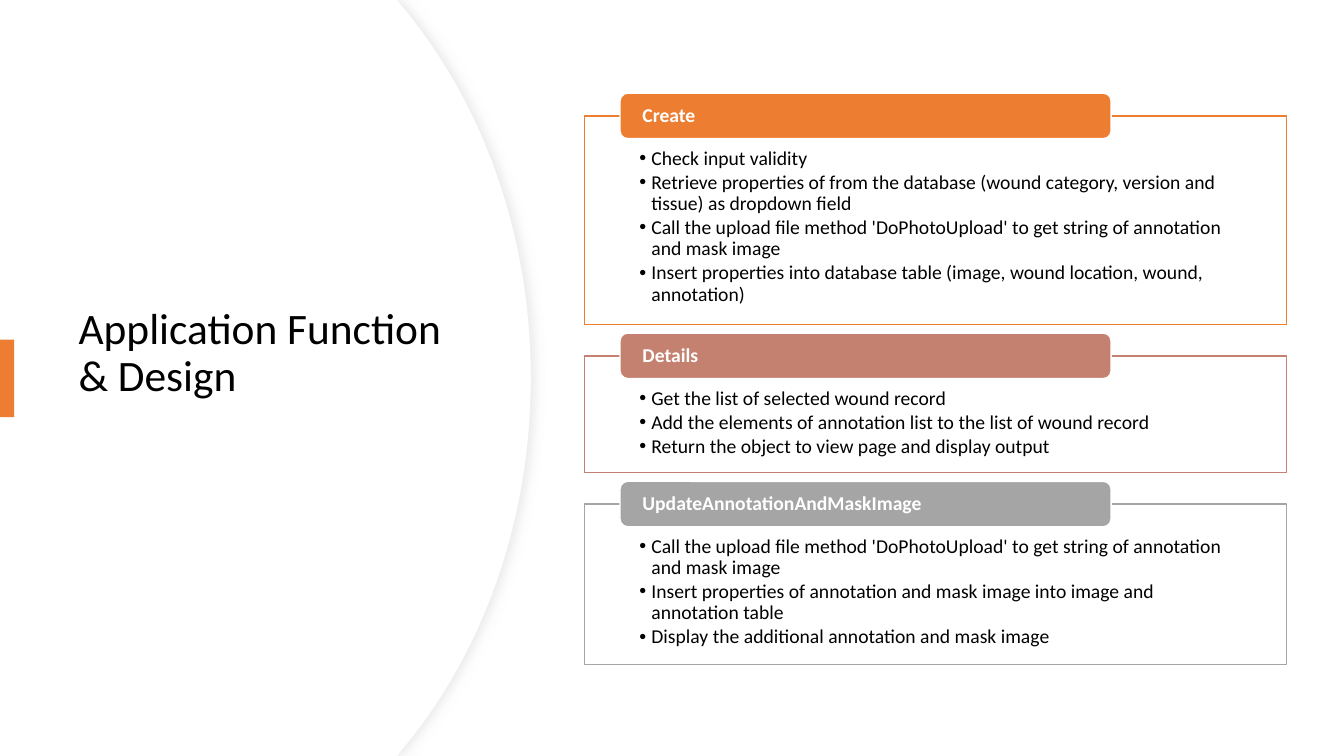
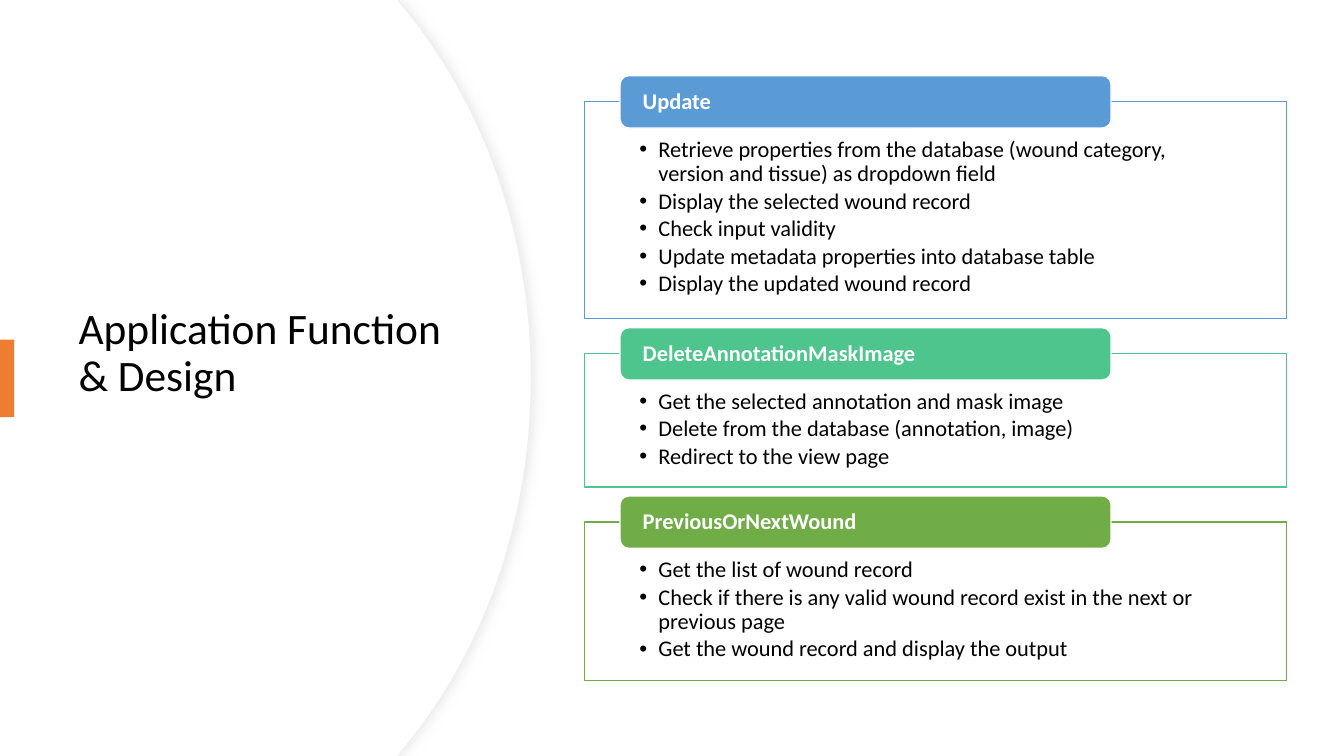
import dataclasses

import lxml.etree
import pptx
import pptx.dml.color
import pptx.enum.shapes
import pptx.enum.text
import pptx.oxml
import pptx.oxml.ns
import pptx.util

Inches = pptx.util.Inches
Pt = pptx.util.Pt
Shape = pptx.enum.shapes.MSO_SHAPE
Anchor = pptx.enum.text.MSO_ANCHOR
Align = pptx.enum.text.PP_ALIGN


@dataclasses.dataclass(frozen=True)
class Theme:
    font: str = "Calibri"
    title_size: int = 31
    text: str = "000000"
    paper: str = "FFFFFF"
    accent: str = "ED7D31"
    arc_line: str = "EFEFEF"
    arc_shadow: str = "D9D9D9"
    line_spacing: float = 0.9
    after_ratio: float = 0.15  # bullet spacing as a share of type size


@dataclasses.dataclass(frozen=True)
class Scale:
    """Sizes of one stack of panels: points for type, inches for the rest."""
    type_size: int
    tab_height: float
    gap: float
    top_inset: float
    indent: float


COMPACT = Scale(14, 0.45, 0.31, 0.32, 0.12)
ROOMY = Scale(16, 0.52, 0.35, 0.36, 0.19)

TITLE = "Application Function & Design"

# Each slide: scale, top of first panel, panels (name, colour, height, bullets)
SLIDES = [
    (COMPACT, 1.15, [
        ("Create", "ED7D31", 2.07, [
            "Check input validity",
            "Retrieve properties of from the database (wound category, version and tissue) as dropdown field",
            "Call the upload file method 'DoPhotoUpload' to get string of annotation and mask image",
            "Insert properties into database table (image, wound location, wound, annotation)",
        ]),
        ("Details", "C48170", 1.16, [
            "Get the list of selected wound record",
            "Add the elements of annotation list to the list of wound record",
            "Return the object to view page and display output",
        ]),
        ("UpdateAnnotationAndMaskImage", "A5A5A5", 1.59, [
            "Call the upload file method 'DoPhotoUpload' to get string of annotation and mask image",
            "Insert properties of annotation and mask image into image and annotation table",
            "Display the additional annotation and mask image",
        ]),
    ]),
    (ROOMY, 1.01, [
        ("Update", "5B9BD5", 2.15, [
            "Retrieve properties from the database (wound category, version and tissue) as dropdown field",
            "Display the selected wound record",
            "Check input validity",
            "Update metadata properties into database table",
            "Display the updated wound record",
        ]),
        ("DeleteAnnotationMaskImage", "4DC58D", 1.32, [
            "Get the selected annotation and mask image",
            "Delete from the database (annotation, image)",
            "Redirect to the view page",
        ]),
        ("PreviousOrNextWound", "70AD47", 1.57, [
            "Get the list of wound record",
            "Check if there is any valid wound record exist in the next or previous page",
            "Get the wound record and display the output",
        ]),
    ]),
]


class Builder:
    PANEL_LEFT, PANEL_WIDTH = 5.8, 6.96
    TAB_LEFT, TAB_WIDTH = 6.15, 4.87

    def __init__(self, theme):
        self.theme = theme
        self.deck = pptx.Presentation()
        self.deck.slide_width = Inches(13.33)
        self.deck.slide_height = Inches(7.5)
        self.page = None

    # Shared helpers
    def paint(self, shape, fill, line=None, width=1):
        shape.fill.solid()
        shape.fill.fore_color.rgb = pptx.dml.color.RGBColor.from_string(fill)
        if line:
            shape.line.color.rgb = pptx.dml.color.RGBColor.from_string(line)
            shape.line.width = Pt(width)
        else:
            shape.line.fill.background()

    def place(self, shape, left, top, width, height):
        shape.left, shape.top = Inches(left), Inches(top)
        shape.width, shape.height = Inches(width), Inches(height)

    def frame(self, shape, anchor, left, top, right, bottom):
        box = shape.text_frame
        box.word_wrap = True
        box.auto_size = pptx.enum.text.MSO_AUTO_SIZE.NONE
        box.vertical_anchor = anchor
        box.margin_left, box.margin_right = Inches(left), Inches(right)
        box.margin_top, box.margin_bottom = Inches(top), Inches(bottom)
        return box

    def style(self, para, size, color, bold=False, after=0):
        para.alignment = Align.LEFT
        para.line_spacing = self.theme.line_spacing
        para.space_before, para.space_after = Pt(0), Pt(after)
        para.font.name = self.theme.font
        para.font.size = Pt(size)
        para.font.bold = bold
        para.font.color.rgb = pptx.dml.color.RGBColor.from_string(color)

    def bullet(self, para, indent):
        props = para._p.get_or_add_pPr()
        props.set("marL", str(Inches(indent)))
        props.set("indent", str(-Inches(indent)))
        for tag, key, value in (("a:buFont", "typeface", "Arial"), ("a:buChar", "char", "•")):
            mark = lxml.etree.SubElement(props, pptx.oxml.ns.qn(tag))
            mark.set(key, value)

    # Slide elements
    def arc(self, reach, level):
        """White field whose right edge bulges to reach; level is its depth."""
        start = (reach - 1.26, 0.08)
        curve = (start, (reach - 0.48, 1.02), (reach, 2.32), (reach, 3.75))
        steps = 30
        upper = []
        for step in range(steps + 1):
            t = step / steps
            weights = ((1 - t) ** 3, 3 * t * (1 - t) ** 2, 3 * t * t * (1 - t), t ** 3)
            upper.append(tuple(sum(w * point[axis] for w, point in zip(weights, curve))
                               for axis in (0, 1)))
        upper.insert(0, (3.94, 0))
        lower = [(x, 7.5 - y) for x, y in reversed(upper[:-1])]
        outline = [(Inches(x), Inches(y)) for x, y in upper + lower + [(0, 7.5)]]
        pen = self.page.shapes.build_freeform(0, 0)
        pen.add_line_segments(outline, close=True)
        shape = pen.convert_to_shape()
        shape.shadow.inherit = False
        # Behind the placeholders: the tree's first two children are properties
        self.page.shapes._spTree.insert(2 + level, shape._element)
        return shape

    def soft_shadow(self, shape):
        effects = shape._element.spPr.find(pptx.oxml.ns.qn("a:effectLst"))
        effects.append(pptx.oxml.parse_xml(
            f'<a:outerShdw {pptx.oxml.ns.nsdecls("a")} blurRad="{Pt(7)}" dist="{Pt(3)}" dir="0">'
            f'<a:srgbClr val="{self.theme.arc_shadow}"><a:alpha val="50000"/></a:srgbClr>'
            '</a:outerShdw>'))

    def backdrop(self):
        edge = self.arc(5.27, 0)
        self.paint(edge, self.theme.paper, self.theme.arc_line, 0.75)
        self.soft_shadow(edge)
        self.paint(self.arc(5.26, 1), self.theme.paper)
        self.block(Shape.RECTANGLE, (0, 3.37, 0.14, 0.77), self.theme.accent)

    def block(self, kind, area, fill, line=None):
        shape = self.page.shapes.add_shape(kind, *map(Inches, area))
        shape.shadow.inherit = False
        self.paint(shape, fill, line)
        return shape

    def title(self, text):
        shape = self.page.shapes.title
        self.place(shape, 0.68, 1.27, 3.94, 4.48)
        box = self.frame(shape, Anchor.MIDDLE, 0.1, 0.05, 0.1, 0.05)
        box.text = text
        self.style(box.paragraphs[0], self.theme.title_size, self.theme.text)

    def panel(self, holder, top, height, color, bullets, scale):
        self.place(holder, self.PANEL_LEFT, top, self.PANEL_WIDTH, height)
        self.paint(holder, self.theme.paper, color)
        box = self.frame(holder, Anchor.TOP, 0.54, scale.top_inset, 0.54, 0.11)
        box.text = "\n".join(bullets)
        for para in box.paragraphs:
            self.bullet(para, scale.indent)
            self.style(para, scale.type_size, self.theme.text,
                       after=scale.type_size * self.theme.after_ratio)

    def tab(self, name, panel_top, color, scale):
        area = (self.TAB_LEFT, panel_top - scale.tab_height / 2, self.TAB_WIDTH, scale.tab_height)
        shape = self.block(Shape.ROUNDED_RECTANGLE, area, color, self.theme.paper)
        box = self.frame(shape, Anchor.MIDDLE, 0.2, 0, 0.2, 0)
        box.text = name
        self.style(box.paragraphs[0], scale.type_size, self.theme.paper, bold=True)

    def slide(self, scale, top, panels):
        comparison = self.deck.slide_layouts[4]
        self.page = self.deck.slides.add_slide(comparison)
        self.backdrop()
        self.title(TITLE)
        holders = [holder for holder in self.page.placeholders
                   if holder.placeholder_format.idx > 0]
        for holder, (name, color, height, bullets) in zip(holders, panels):
            self.panel(holder, top, height, color, bullets, scale)
            self.tab(name, top, color, scale)
            top += height + scale.gap
        for spare in holders[len(panels):]:
            spare._element.getparent().remove(spare._element)


def main():
    builder = Builder(Theme())
    for scale, top, panels in SLIDES:
        builder.slide(scale, top, panels)
    builder.deck.save("out.pptx")


if __name__ == "__main__":
    main()
